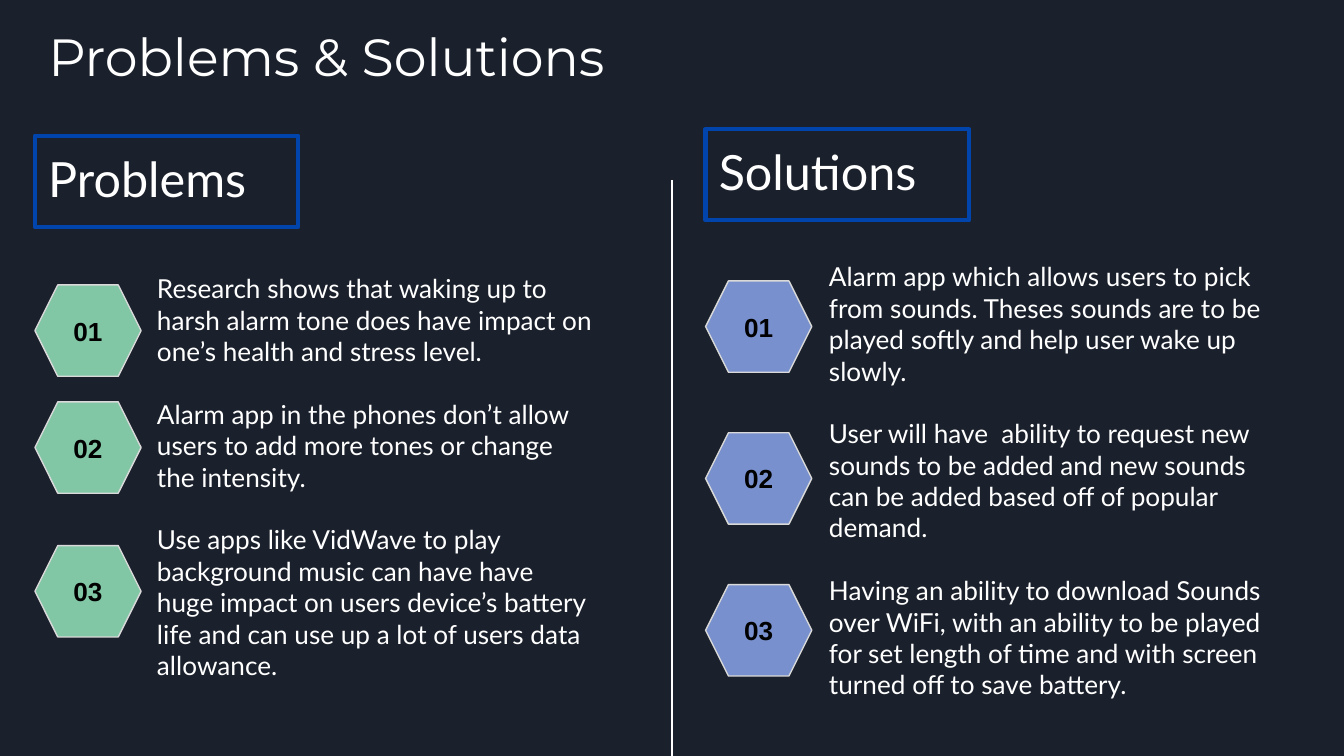
from dataclasses import dataclass

from lxml.etree import SubElement
from pptx import Presentation
from pptx.dml.color import RGBColor
from pptx.enum.shapes import MSO_CONNECTOR as Connector, MSO_SHAPE as Preset
from pptx.enum.text import MSO_ANCHOR as Anchor, MSO_AUTO_SIZE as AutoSize, PP_ALIGN as Align
from pptx.oxml.ns import qn
from pptx.util import Emu, Inches, Pt


@dataclass(frozen=True)
class Theme:
    backdrop: str = "1B212C"
    text: str = "FFFFFF"
    frame: str = "0145AC"
    badge_edge: str = "D9D9D9"
    badge_text: str = "000000"
    problem: str = "82C7A5"
    solution: str = "7890CD"
    title_font: str = "Montserrat"
    body_font: str = "Lato"
    badge_font: str = "Arial"
    title_size: float = 28
    heading_size: float = 26
    body_size: float = 14
    paragraph_gap: float = 16.8
    frame_width: float = 2.25
    hairline: float = 0.75


@dataclass(frozen=True)
class Area:
    column: float
    row: float
    columns: float
    rows: float


@dataclass(frozen=True)
class Topic:
    heading: str
    color: str
    left: float
    heading_row: float
    body: Area
    badge_rows: tuple[float, ...]
    points: tuple[str, ...]


THEME = Theme()
SLIDE_WIDTH = Inches(10)
SLIDE_HEIGHT = Emu(SLIDE_WIDTH * 9 // 16)
GRID_COLUMNS = 100
CELL = SLIDE_WIDTH / GRID_COLUMNS
GRID_ROWS = SLIDE_HEIGHT / CELL
BAND_HEIGHT = 6.8
HEADING_WIDTH = 19.6
BADGE_WIDTH = 7.9
LEFT_EDGE, RIGHT_EDGE = 2.6, 52.5

TOPICS = (
    Topic(
        "Problems", THEME.problem, LEFT_EDGE, 10.1, Area(5.7, 19.3, 39.7, 33),
        (21.2, 29.9, 40.6),
        (
            "Research shows that waking up to harsh alarm tone does have impact on "
            "one’s health and stress level.",
            "Alarm app in the phones don’t allow users to add more tones or change "
            "the intensity.",
            "Use apps like VidWave to play background music can have have huge impact "
            "on users device’s battery life and can use up a lot of users data allowance.",
        ),
    ),
    Topic(
        "Solutions", THEME.solution, RIGHT_EDGE, 9.6, Area(55.7, 18.4, 39.7, 34.8),
        tuple(20.9 + 11.3 * step for step in range(3)),
        (
            "Alarm app which allows users to pick from sounds. Theses sounds are to be "
            "played softly and help user wake up slowly.",
            "User will have  ability to request new sounds to be added and new sounds "
            "can be added based off of popular demand.",
            "Having an ability to download Sounds over WiFi, with an ability to be "
            "played for set length of time and with screen turned off to save battery.",
        ),
    ),
)


def cells(count: float) -> Emu:
    return Emu(round(count * CELL))


def bounds(area: Area) -> tuple[Emu, ...]:
    return tuple(map(cells, (area.column, area.row, area.columns, area.rows)))


def rgb(color: str) -> RGBColor:
    return RGBColor.from_string(color)


def prepare_frame(frame, anchor=Anchor.TOP) -> None:
    frame.word_wrap = True
    frame.auto_size = AutoSize.NONE
    frame.vertical_anchor = anchor
    frame.margin_left = frame.margin_right = cells(1)
    frame.margin_top = frame.margin_bottom = cells(1)


def write(paragraph, text: str, font: str, size: float, color: str = THEME.text,
          align=Align.LEFT, bold: bool = False) -> None:
    paragraph.alignment = align
    run = paragraph.add_run()
    run.text = text
    run.font.name = font
    run.font.size = Pt(size)
    run.font.bold = bold
    run.font.color.rgb = rgb(color)


def outline(line, color: str, width: float) -> None:
    line.color.rgb = rgb(color)
    line.width = Pt(width)


def draw_title(slide, text: str) -> None:
    title = slide.shapes.title
    title.left, title.top, title.width, title.height = bounds(
        Area(LEFT_EDGE, 0.8, 50.2, BAND_HEIGHT))
    prepare_frame(title.text_frame)
    write(title.text_frame.paragraphs[0], text, THEME.title_font, THEME.title_size)


def draw_divider(slide) -> None:
    middle = cells(GRID_COLUMNS / 2)
    divider = slide.shapes.add_connector(
        Connector.STRAIGHT, middle, cells(13.4), middle, cells(GRID_ROWS))
    outline(divider.line, THEME.text, THEME.hairline)
    SubElement(divider._element.spPr, qn("a:effectLst"))


def draw_heading(slide, topic: Topic) -> None:
    heading = slide.shapes.add_shape(Preset.RECTANGLE, *bounds(
        Area(topic.left, topic.heading_row, HEADING_WIDTH, BAND_HEIGHT)))
    heading.shadow.inherit = False
    heading.fill.background()
    outline(heading.line, THEME.frame, THEME.frame_width)
    prepare_frame(heading.text_frame)
    write(heading.text_frame.paragraphs[0], topic.heading,
          THEME.body_font, THEME.heading_size)


def draw_points(slide, topic: Topic) -> None:
    frame = slide.shapes.add_textbox(*bounds(topic.body)).text_frame
    prepare_frame(frame)
    for index, point in enumerate(topic.points):
        paragraph = frame.add_paragraph() if index else frame.paragraphs[0]
        properties = paragraph._p.get_or_add_pPr()
        properties.set("marL", str(cells(5)))
        properties.set("indent", "0")
        if index:
            paragraph.space_before = Pt(THEME.paragraph_gap)
        write(paragraph, point, THEME.body_font, THEME.body_size)


def draw_badge(slide, topic: Topic, number: int, row: float) -> None:
    badge = slide.shapes.add_shape(Preset.HEXAGON, *bounds(
        Area(topic.left, row, BADGE_WIDTH, BAND_HEIGHT)))
    badge.adjustments[0] = 0.25
    badge.shadow.inherit = False
    badge.fill.solid()
    badge.fill.fore_color.rgb = rgb(topic.color)
    outline(badge.line, THEME.badge_edge, THEME.hairline)
    prepare_frame(badge.text_frame, Anchor.MIDDLE)
    write(badge.text_frame.paragraphs[0], f"{number:02}", THEME.badge_font,
          THEME.body_size, THEME.badge_text, Align.CENTER, True)


def main() -> None:
    deck = Presentation()
    deck.slide_width, deck.slide_height = SLIDE_WIDTH, SLIDE_HEIGHT
    slide = deck.slides.add_slide(deck.slide_layouts.get_by_name("Title Only"))
    slide.background.fill.solid()
    slide.background.fill.fore_color.rgb = rgb(THEME.backdrop)
    draw_title(slide, "Problems & Solutions")
    draw_divider(slide)
    for topic in TOPICS:
        draw_heading(slide, topic)
        draw_points(slide, topic)
        for number, row in enumerate(topic.badge_rows, start=1):
            draw_badge(slide, topic, number, row)
    deck.save("out.pptx")


if __name__ == "__main__":
    main()
